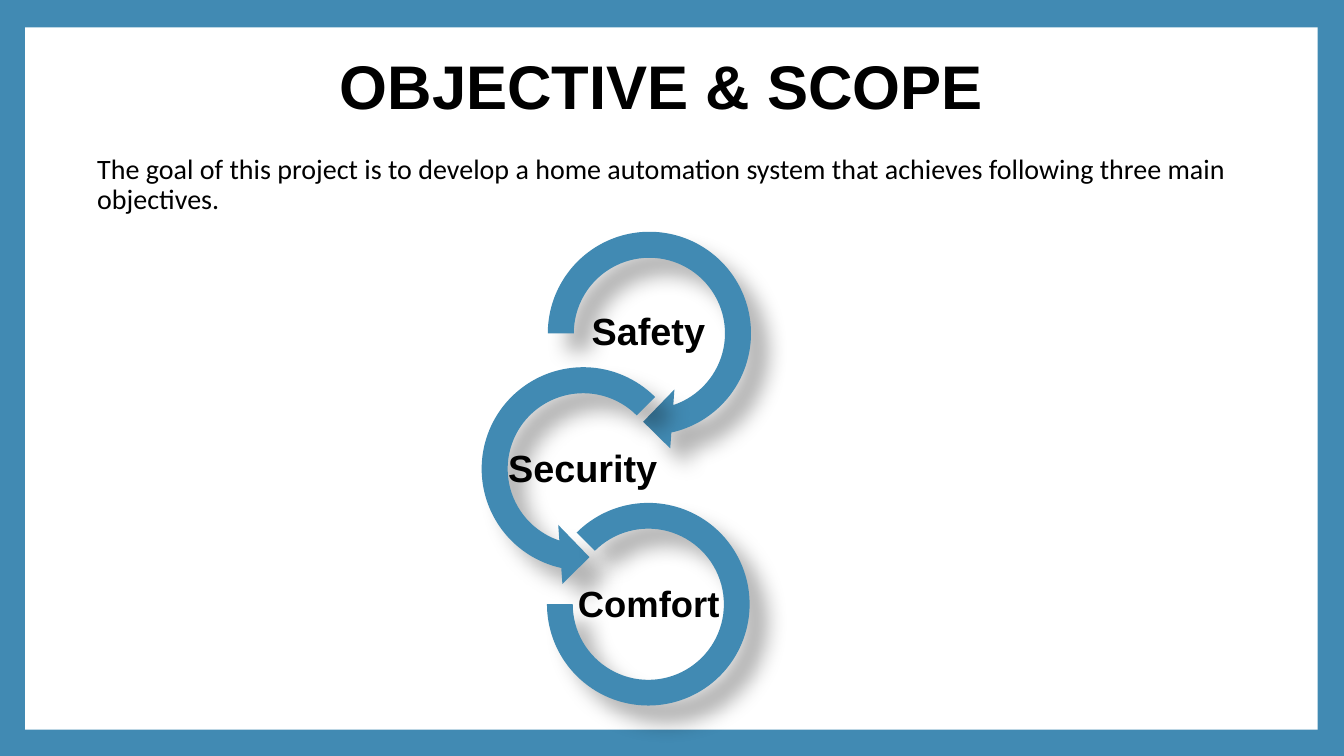
from lxml.etree import SubElement
from pptx import Presentation
from pptx.dml.color import RGBColor
from pptx.enum.shapes import MSO_SHAPE as SHAPE
from pptx.enum.text import MSO_ANCHOR as ANCHOR, MSO_AUTO_SIZE as AUTO, PP_ALIGN as ALIGN
from pptx.oxml.ns import qn
from pptx.util import Pt

PX = 9525
COLORS = {"blue": "418AB3", "white": "FFFFFF", "black": "000000"}


def write(holder, box, text, size, font, bold, align, anchor, inset=None):
    for side, length in zip(("left", "top", "width", "height"), box):
        setattr(holder, side, length * PX)
    frame = holder.text_frame
    frame.word_wrap = True
    frame.auto_size = AUTO.NONE
    frame.vertical_anchor = anchor
    if inset is not None:
        for side in ("left", "top", "right", "bottom"):
            setattr(frame, f"margin_{side}", inset * PX)
    frame.text = text
    paragraph = frame.paragraphs[0]
    layout = {"alignment": align, "line_spacing": 0.9, "space_before": Pt(0)}
    for name, value in layout.items():
        setattr(paragraph, name, value)
    run_font = paragraph.runs[0].font
    for name, value in {"size": Pt(size), "name": font, "bold": bold}.items():
        setattr(run_font, name, value)
    run_font.color.rgb = RGBColor.from_string(COLORS["black"])
    return paragraph


def paint(shape, color):
    shape.shadow.inherit = False
    shape.fill.solid()
    shape.fill.fore_color.rgb = RGBColor.from_string(COLORS[color])
    shape.line.fill.background()


prs = Presentation()
prs.slide_width, prs.slide_height = 1280 * PX, 720 * PX
slide = prs.slides.add_slide(prs.slide_layouts[1])
slide.background.fill.solid()
slide.background.fill.fore_color.rgb = RGBColor.from_string(COLORS["blue"])

panel = slide.shapes.add_shape(SHAPE.RECTANGLE, 24 * PX, 26 * PX, 1231 * PX, 669 * PX)
paint(panel, "white")
slide.shapes._spTree.insert(2, panel._element)

title, goal = slide.placeholders
write(title, (120, 41, 1037, 88), "OBJECTIVE & SCOPE ", 44, "Arial", True,
      ALIGN.CENTER, ANCHOR.MIDDLE)
goal_line = write(
    goal, (78, 143, 1104, 537),
    "The goal of this project is to develop a home automation system "
    "that achieves following three main objectives.",
    20, "Calibri", False, ALIGN.LEFT, ANCHOR.TOP)
goal_props = goal_line._p.get_or_add_pPr()
goal_props.set("marL", str(5 * PX))
goal_props.set("indent", "0")
goal_props.append(goal_props.makeelement(qn("a:buNone")))

OBJECTIVES = [
    ("Safety", 27, (555, 286, 125, 62), SHAPE.CIRCULAR_ARROW, (506, 205, 225),
     (0.11, 11.423, 45, 108, 0.125)),
    ("Security", 27, (471, 417, 168, 62), SHAPE.LEFT_CIRCULAR_ARROW, (443, 334, 225),
     (0.11, 11.423, 63, 189, 0.125)),
    ("Comfort", 26, (544, 546, 148, 62), SHAPE.BLOCK_ARC, (521, 479, 193),
     (135, 108, 0.127)),
]
cycle = slide.shapes.add_group_shape()
for objective, size, label_box, kind, (left, top, side), adjustments in OBJECTIVES:
    ring = cycle.shapes.add_shape(kind, left * PX, top * PX, side * PX, side * PX)
    for index, value in enumerate(adjustments):
        ring.adjustments[index] = value
    paint(ring, "blue")
    effects = ring._element.spPr.find(qn("a:effectLst"))
    shadow = SubElement(effects, qn("a:outerShdw"), blurRad=str(Pt(15)), dist=str(Pt(18)),
                        dir="2700000", algn="tl", rotWithShape="0")
    shade = SubElement(shadow, qn("a:srgbClr"), val=COLORS["black"])
    SubElement(shade, qn("a:alpha"), val="30000")
    label = cycle.shapes.add_textbox(*(length * PX for length in label_box))
    write(label, label_box, objective, size, "Arial", True, ALIGN.CENTER, ANCHOR.MIDDLE, 2)

prs.save("out.pptx")
